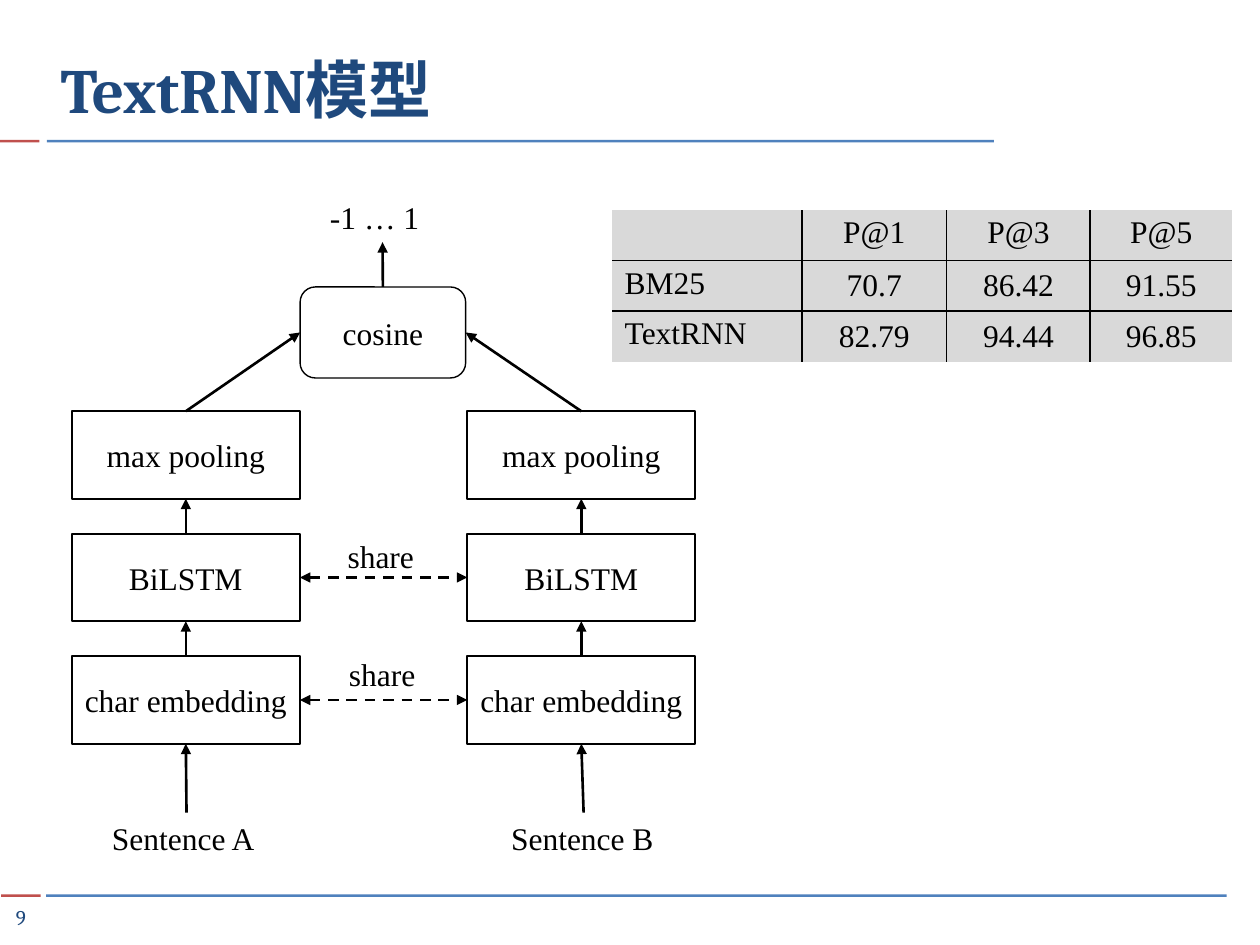
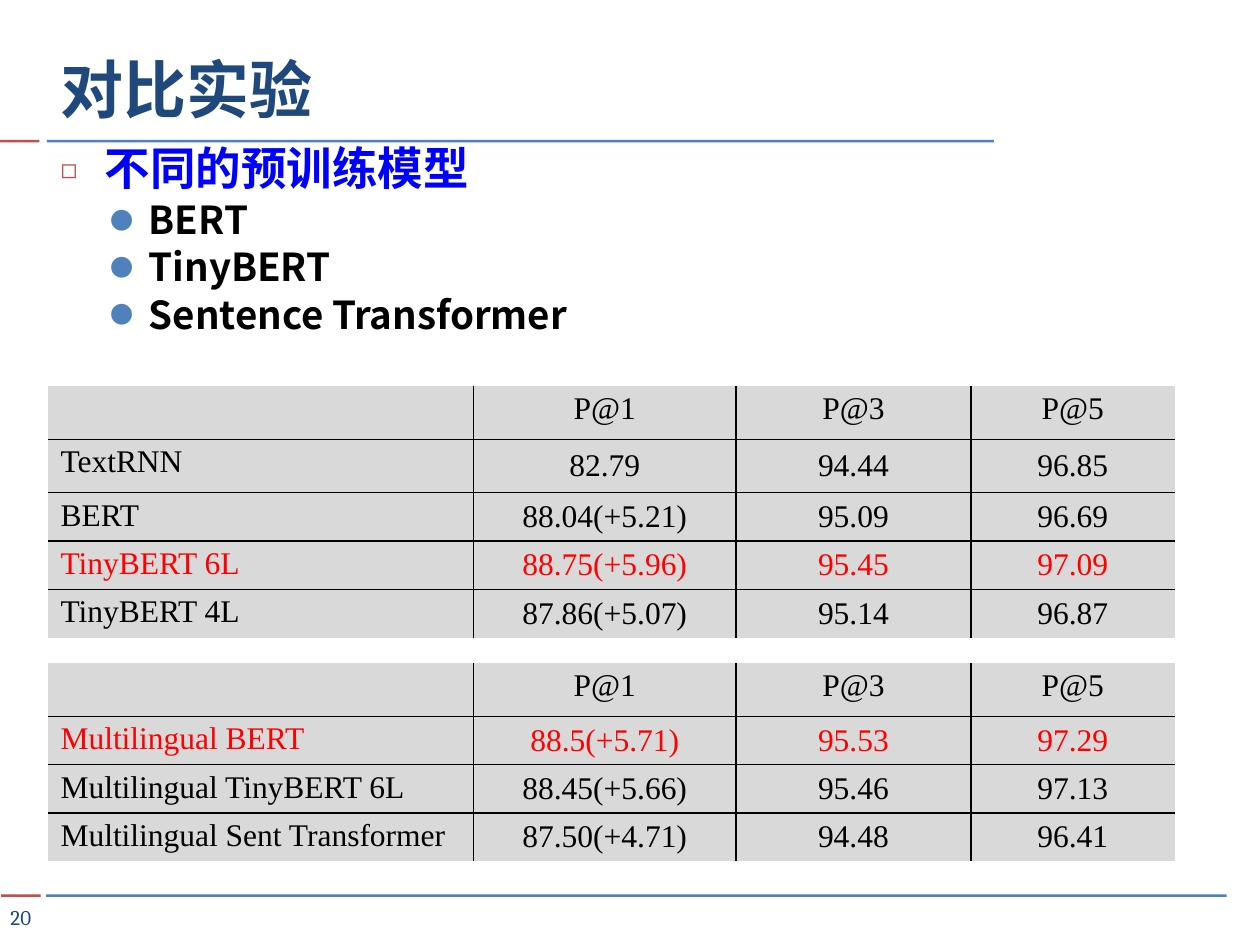
"""Build two slides on the TextRNN model and the comparison of pretrained models."""
from lxml import etree
from pptx import Presentation
from pptx.dml.color import RGBColor
from pptx.enum.dml import MSO_LINE
from pptx.enum.shapes import MSO_CONNECTOR, MSO_SHAPE
from pptx.enum.text import MSO_ANCHOR, MSO_AUTO_SIZE, PP_ALIGN
from pptx.oxml.ns import qn
from pptx.util import Pt

RECT, ROUNDED = MSO_SHAPE.RECTANGLE, MSO_SHAPE.ROUNDED_RECTANGLE
STRAIGHT, DASH = MSO_CONNECTOR.STRAIGHT, MSO_LINE.DASH
LEFT, CENTER = PP_ALIGN.LEFT, PP_ALIGN.CENTER
TOP, MIDDLE, BOTTOM = MSO_ANCHOR.TOP, MSO_ANCHOR.MIDDLE, MSO_ANCHOR.BOTTOM
NO_FIT = MSO_AUTO_SIZE.NONE
SIDE_TOP, SIDE_LEFT, SIDE_BOTTOM, SIDE_RIGHT = range(4)

BLACK, RED, BLUE, NAVY = "000000", "FF0000", "0000FF", "1F497D"
ACCENT_RED, ACCENT_BLUE, CELL_GRAY = "C0504D", "4F81BD", "D9D9D9"
CJK_FONT = "Noto Sans CJK SC"
TITLE_FONT = {"size": Pt(36), "name": "Cambria", "bold": True}
NUMBER_FONT = {"size": Pt(12), "name": "Cambria"}
PLAIN_FONT = {"size": Pt(18), "name": "Times New Roman"}
NO_MARGINS = dict.fromkeys(
    ("margin_left", "margin_right", "margin_top", "margin_bottom"), 0)

TITLE_AREA = (27.4, 13, 534, 62.6)
NUMBER_AREA = (1.4, 514, 21, 20)
RULES = [
    (0, 79.9, 22.6, ACCENT_RED), (26.8, 79.9, 541.2, ACCENT_BLUE),
    (0.6, 511, 22.6, ACCENT_RED), (26.4, 511, 674.6, ACCENT_BLUE),
]

METRICS = ["", "P@1", "P@3", "P@5"]
RNN_TITLE, RNN_NUMBER = "TextRNN模型", "9"
LAYERS = ["max pooling", "BiLSTM", "char embedding"]
SENTENCES = [("Sentence A", 56.9, 99.4), ("Sentence B", 285, 97)]
SHARES = [("BiLSTM", 191.5, 303.3, 54), ("char embedding", 192.3, 370.8, 60)]
TOWER_LEFTS, TOWER_TOP, LAYER_PITCH = (41, 267), 235, 70
LAYER_WIDTH, LAYER_HEIGHT = 130.4, 50
COSINE_AREA = (171.5, 164, 94.6, 52)
RANGE_AREA = (181.5, 109.6, 74.2, 28.8)
RNN_TABLE = {
    "left": 349.8, "top": 120.2, "columns": [108.4, 82.8, 82, 81.2],
    "heights": [28.8] * 3, "red": None,
    "rows": [METRICS, ["BM25", "70.7", "86.42", "91.55"],
             ["TextRNN", "82.79", "94.44", "96.85"]],
}

COMPARE_TITLE, COMPARE_NUMBER = "对比实验", "20"
BODY_AREA = (27.4, 82, 662.4, 145.4)
MODELS = [("不同的预训练模型", 0), ("BERT", 0 + 1), ("TinyBERT", 1),
          ("Sentence Transformer", 1)]
LEVELS = [
    {"size": 26, "color": BLUE, "before": 4, "left": 25.2, "hang": 25.2,
     "bullet": "◻", "bullet_color": ACCENT_RED},
    {"size": 22, "color": BLACK, "before": 5.5, "left": 50.4, "hang": 21.6,
     "bullet": "●", "bullet_color": ACCENT_BLUE},
]
COMPARE_COLUMNS = [243.2, 150, 134.2, 116.6]
COMPARE_TABLES = [
    {"left": 27.4, "top": 379, "columns": COMPARE_COLUMNS,
     "heights": [30.4] + [27.2] * 3, "red": "Multilingual BERT",
     "rows": [METRICS,
              ["Multilingual BERT", "88.5(+5.71)", "95.53", "97.29"],
              ["Multilingual TinyBERT 6L", "88.45(+5.66)", "95.46", "97.13"],
              ["Multilingual Sent Transformer", "87.50(+4.71)", "94.48",
               "96.41"]]},
    {"left": 27.4, "top": 220.8, "columns": COMPARE_COLUMNS,
     "heights": [30.4] * 2 + [27.2] * 3, "red": "TinyBERT 6L",
     "rows": [METRICS, ["TextRNN", "82.79", "94.44", "96.85"],
              ["BERT", "88.04(+5.21)", "95.09", "96.69"],
              ["TinyBERT 6L", "88.75(+5.96)", "95.45", "97.09"],
              ["TinyBERT 4L", "87.86(+5.07)", "95.14", "96.87"]]},
]


def rgb(color):
    return RGBColor.from_string(color)


def points(lengths):
    return [Pt(length) for length in lengths]


def apply(target, formats):
    for name, value in formats.items():
        setattr(target, name, value)


def add_xml(parent, tag, **attributes):
    return etree.SubElement(parent, qn(tag), attributes)


def write(paragraph, text, font, color=BLACK, align=LEFT):
    paragraph.alignment = align
    run = paragraph.add_run()
    run.text = text
    apply(run.font, font)
    run.font.color.rgb = rgb(color)
    add_xml(run.font._element, "a:ea", typeface=CJK_FONT)


def place(placeholder, area, anchor):
    apply(placeholder, dict(zip(("left", "top", "width", "height"),
                                points(area))))
    frame = placeholder.text_frame
    apply(frame, {"auto_size": NO_FIT, "vertical_anchor": anchor})
    return frame


def add_label(slide, text, area, font=PLAIN_FONT, color=BLACK, align=LEFT,
              formats=None):
    label = slide.shapes.add_textbox(*points(area))
    apply(label.text_frame, {"word_wrap": True, **(formats or {})})
    write(label.text_frame.paragraphs[0], text, font, color, align)
    return label


def add_node(slide, text, area, outline=RECT, weight=1):
    node = slide.shapes.add_shape(outline, *points(area))
    node.shadow.inherit = False
    node.fill.background()
    node.line.color.rgb = rgb(BLACK)
    node.line.width = Pt(weight)
    apply(node.text_frame, {"word_wrap": False, "vertical_anchor": MIDDLE})
    write(node.text_frame.paragraphs[0], text, PLAIN_FONT, align=CENTER)
    return node


def add_arrow(slide, source, source_side, target, target_side, shared=False):
    arrow = slide.shapes.add_connector(STRAIGHT, 0, 0, 0, 0)
    arrow.begin_connect(source, source_side)
    arrow.end_connect(target, target_side)
    arrow.line.color.rgb = rgb(BLACK)
    arrow.line.width = Pt(1.5)
    if shared:
        arrow.line.dash_style = DASH
    line = arrow.line._get_or_add_ln()
    if shared:
        add_xml(line, "a:headEnd", type="triangle")
    add_xml(line, "a:tailEnd", type="triangle")
    add_xml(arrow._element.spPr, "a:effectLst")


def set_borders(cell, inner_sides):
    properties = cell._tc.get_or_add_tcPr()
    for position, (side, inner) in enumerate(zip("LRTB", inner_sides)):
        border = etree.Element(qn(f"a:ln{side}"), w=str(Pt(1)))
        if inner:
            fill = add_xml(border, "a:solidFill")
            add_xml(fill, "a:srgbClr", val=BLACK)
        else:
            add_xml(border, "a:noFill")
        properties.insert(position, border)


def add_scores(slide, scores):
    rows, columns, heights = (scores[key]
                              for key in ("rows", "columns", "heights"))
    area = (scores["left"], scores["top"], sum(columns), sum(heights))
    table = slide.shapes.add_table(len(rows), len(columns),
                                   *points(area)).table
    apply(table, {"first_row": False, "horz_banding": False})
    for column, width in zip(table.columns, columns):
        column.width = Pt(width)
    for r, (row, height) in enumerate(zip(rows, heights)):
        table.rows[r].height = Pt(height)
        color = RED if row[0] == scores["red"] else BLACK
        for c, text in enumerate(row):
            cell = table.cell(r, c)
            cell.fill.solid()
            cell.fill.fore_color.rgb = rgb(CELL_GRAY)
            apply(cell, {"margin_top": Pt(3), "margin_bottom": Pt(3),
                         "vertical_anchor": MIDDLE if r and c else TOP})
            set_borders(cell, (c > 0, c < len(columns) - 1,
                               r > 0, r < len(rows) - 1))
            if text:
                write(cell.text_frame.paragraphs[0], text, PLAIN_FONT, color,
                      CENTER if c else LEFT)


def start_slide(deck, layout, title, number):
    slide = deck.slides.add_slide(deck.slide_layouts[layout])
    for left, top, width, color in RULES:
        rule = slide.shapes.add_shape(RECT, *points((left, top, width, 1.5)))
        rule.shadow.inherit = False
        rule.fill.solid()
        rule.fill.fore_color.rgb = rgb(color)
        rule.line.fill.background()
    heading = place(slide.shapes.title, TITLE_AREA, BOTTOM)
    write(heading.paragraphs[0], title, TITLE_FONT, NAVY)
    add_label(slide, number, NUMBER_AREA, NUMBER_FONT, NAVY, CENTER,
              {**NO_MARGINS, "vertical_anchor": MIDDLE})
    return slide


def build_rnn(deck):
    slide = start_slide(deck, 5, RNN_TITLE, RNN_NUMBER)
    cosine = add_node(slide, "cosine", COSINE_AREA, ROUNDED, 0.79)
    score_range = add_label(slide, "-1 … 1", RANGE_AREA)
    add_arrow(slide, cosine, SIDE_TOP, score_range, SIDE_BOTTOM)
    towers = []
    for left, (sentence, label_left, label_width), cosine_side in zip(
            TOWER_LEFTS, SENTENCES, (SIDE_LEFT, SIDE_RIGHT)):
        tower = [add_node(slide, layer, (left, TOWER_TOP + i * LAYER_PITCH,
                                         LAYER_WIDTH, LAYER_HEIGHT))
                 for i, layer in enumerate(LAYERS)]
        source = add_label(slide, sentence,
                           (label_left, 464.4, label_width, 28.8))
        for upper, lower in zip(tower, tower[1:] + [source]):
            add_arrow(slide, lower, SIDE_TOP, upper, SIDE_BOTTOM)
        add_arrow(slide, tower[0], SIDE_TOP, cosine, cosine_side)
        towers.append(dict(zip(LAYERS, tower)))
    for layer, left, top, width in SHARES:
        add_arrow(slide, towers[0][layer], SIDE_RIGHT, towers[1][layer],
                  SIDE_LEFT, shared=True)
        add_label(slide, "share", (left, top, width, 28.8))
    add_scores(slide, RNN_TABLE)


def add_bullet(paragraph, level):
    properties = paragraph._p.get_or_add_pPr()
    properties.set("marL", str(Pt(level["left"])))
    properties.set("indent", str(-Pt(level["hang"])))
    color = add_xml(properties, "a:buClr")
    add_xml(color, "a:srgbClr", val=level["bullet_color"])
    add_xml(properties, "a:buSzPct", val="60000")
    add_xml(properties, "a:buFont", typeface=CJK_FONT)
    add_xml(properties, "a:buChar", char=level["bullet"])


def build_comparison(deck):
    slide = start_slide(deck, 1, COMPARE_TITLE, COMPARE_NUMBER)
    body = place(slide.placeholders[1], BODY_AREA, TOP)
    for i, (model, depth) in enumerate(MODELS):
        level = LEVELS[depth]
        paragraph = body.add_paragraph() if i else body.paragraphs[0]
        apply(paragraph, {"level": depth, "line_spacing": 0.82,
                          "space_before": Pt(level["before"])})
        write(paragraph, model, {"size": Pt(level["size"]), "name": CJK_FONT,
                                 "bold": True}, level["color"])
        add_bullet(paragraph, level)
    for scores in COMPARE_TABLES:
        add_scores(slide, scores)


def main():
    deck = Presentation()
    apply(deck, {"slide_width": Pt(720), "slide_height": Pt(540)})
    build_rnn(deck)
    build_comparison(deck)
    deck.save("out.pptx")


if __name__ == "__main__":
    main()
